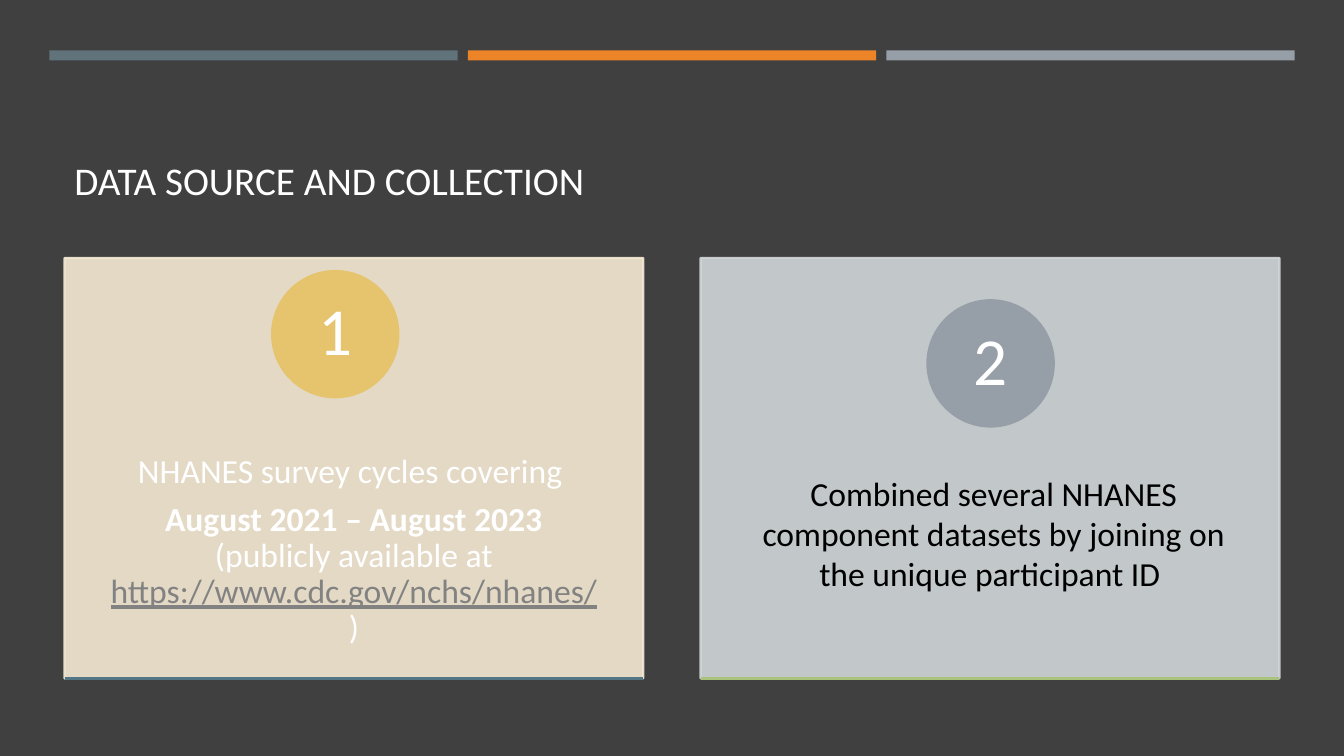
from dataclasses import dataclass

from lxml import etree
from pptx import Presentation
from pptx import util as u
from pptx.dml.color import RGBColor
from pptx.enum import shapes, text
from pptx.oxml import ns


@dataclass(frozen=True)
class Theme:
    font: str = "Calibri"
    back: str = "404040"
    white: str = "FFFFFF"
    black: str = "000000"
    link: str = "828282"
    head: int = 28
    body: int = 24
    digit: int = 48
    gap: int = 8
    edge: float = 1.75


THEME = Theme()
TITLE = "DATA SOURCE AND COLLECTION"
BARS = ["60727A", "ED8428", "969FA7"]
CARDS = [
    {"digit": "1", "fill": "F5EAD4", "disc": "E6C46D", "rule": "537685",
     "spot": (206, 13), "ink": THEME.white, "box": (0, 159, 574, 250),
     "pad": (45, 36), "space": 0.9,
     "paras": [
         [("NHANES survey cycles covering ", "")],
         [("August 2021 – August 2023", "bold"), ("", "break"),
          ("(publicly available at ", ""),
          ("https://www.cdc.gov/nchs/nhanes/", "link"), (")", "")],
     ]},
    {"digit": "2", "fill": "D1D6D9", "disc": "969FA7", "rule": "A9C37C",
     "spot": (225, 42), "ink": THEME.black, "box": (40, 208, 501, 131),
     "pad": (10, 5), "space": None,
     "paras": [
         [("Combined several NHANES component datasets "
           "by joining on the unique participant ID ", "")],
     ]},
]

SCALE = 9144
WIDE, HIGH = 1333, 750
BAR_X, BAR_Y, BAR_W, BAR_H, BAR_STEP = 49, 50, 405, 10, 415
CARD_X, CARD_Y, CARD_W, CARD_H, CARD_STEP = 64, 256, 574, 417, 631
DISC = 125


def px(*vals):
    return [u.Emu(v * SCALE) for v in vals]


def tint(color):
    return RGBColor.from_string(color)


def fade(shape):
    for node in shape._element.spPr.iter(ns.qn("a:srgbClr")):
        etree.SubElement(node, ns.qn("a:alpha"), val="90000")


def block(slide, kind, area, fill, line=None):
    shape = slide.shapes.add_shape(kind, *px(*area))
    shape.shadow.inherit = False
    shape.fill.solid()
    shape.fill.fore_color.rgb = tint(fill)
    if line:
        shape.line.color.rgb = tint(line)
        shape.line.width = u.Pt(THEME.edge)
    else:
        shape.line.fill.background()
    return shape


def frame(shape, pad, anchor):
    body = shape.text_frame
    body.word_wrap = True
    body.vertical_anchor = anchor
    body.margin_left = body.margin_right = px(pad[0])[0]
    body.margin_top = body.margin_bottom = px(pad[1])[0]
    return body


def style(para, size, color, align=text.PP_ALIGN.CENTER, space=None):
    para.alignment = align
    para.line_spacing = space
    para.font.name = THEME.font
    para.font.size = u.Pt(size)
    para.font.color.rgb = tint(color)


def fill_para(para, runs):
    for words, look in runs:
        if look == "break":
            para.add_line_break()
            continue
        run = para.add_run()
        run.text = words
        if look == "bold":
            run.font.bold = True
        elif look == "link":
            run.font.underline = True
            run.font.color.rgb = tint(THEME.link)


def add_card(slide, left, card):
    rect = shapes.MSO_SHAPE.RECTANGLE
    fade(block(slide, rect, (left, CARD_Y, CARD_W, CARD_H),
               card["fill"], card["fill"]))

    dx, dy = card["spot"]
    disc = block(slide, shapes.MSO_SHAPE.OVAL,
                 (left + dx, CARD_Y + dy, DISC, DISC),
                 card["disc"], card["disc"])
    body = frame(disc, (10, 1), text.MSO_ANCHOR.MIDDLE)
    body.text = card["digit"]
    style(body.paragraphs[0], THEME.digit, THEME.white, space=0.9)

    base = CARD_Y + CARD_H
    rule = slide.shapes.add_connector(
        shapes.MSO_CONNECTOR.STRAIGHT, *px(left, base, left + CARD_W, base))
    rule.line.color.rgb = tint(card["rule"])
    rule.line.width = u.Pt(THEME.edge)
    etree.SubElement(rule._element.spPr, ns.qn("a:effectLst"))

    x, y, w, h = card["box"]
    box = slide.shapes.add_textbox(*px(left + x, CARD_Y + y, w, h))
    body = frame(box, card["pad"], text.MSO_ANCHOR.TOP)
    for i, runs in enumerate(card["paras"]):
        para = body.add_paragraph() if i else body.paragraphs[0]
        style(para, THEME.body, card["ink"], space=card["space"])
        if i < len(card["paras"]) - 1:
            para.space_after = u.Pt(THEME.gap)
        fill_para(para, runs)


def main():
    deck = Presentation()
    deck.slide_width, deck.slide_height = px(WIDE, HIGH)
    slide = deck.slides.add_slide(deck.slide_layouts[6])
    slide.background.fill.solid()
    slide.background.fill.fore_color.rgb = tint(THEME.back)

    head = slide.shapes.add_textbox(*px(CARD_X, 77, 1206, 130))
    body = frame(head, (10, 5), text.MSO_ANCHOR.BOTTOM)
    body.text = TITLE
    style(body.paragraphs[0], THEME.head, THEME.white, text.PP_ALIGN.LEFT)

    for i, color in enumerate(BARS):
        block(slide, shapes.MSO_SHAPE.RECTANGLE,
              (BAR_X + i * BAR_STEP, BAR_Y, BAR_W, BAR_H), color)
    for i, card in enumerate(CARDS):
        add_card(slide, CARD_X + i * CARD_STEP, card)
    deck.save("out.pptx")


if __name__ == "__main__":
    main()
